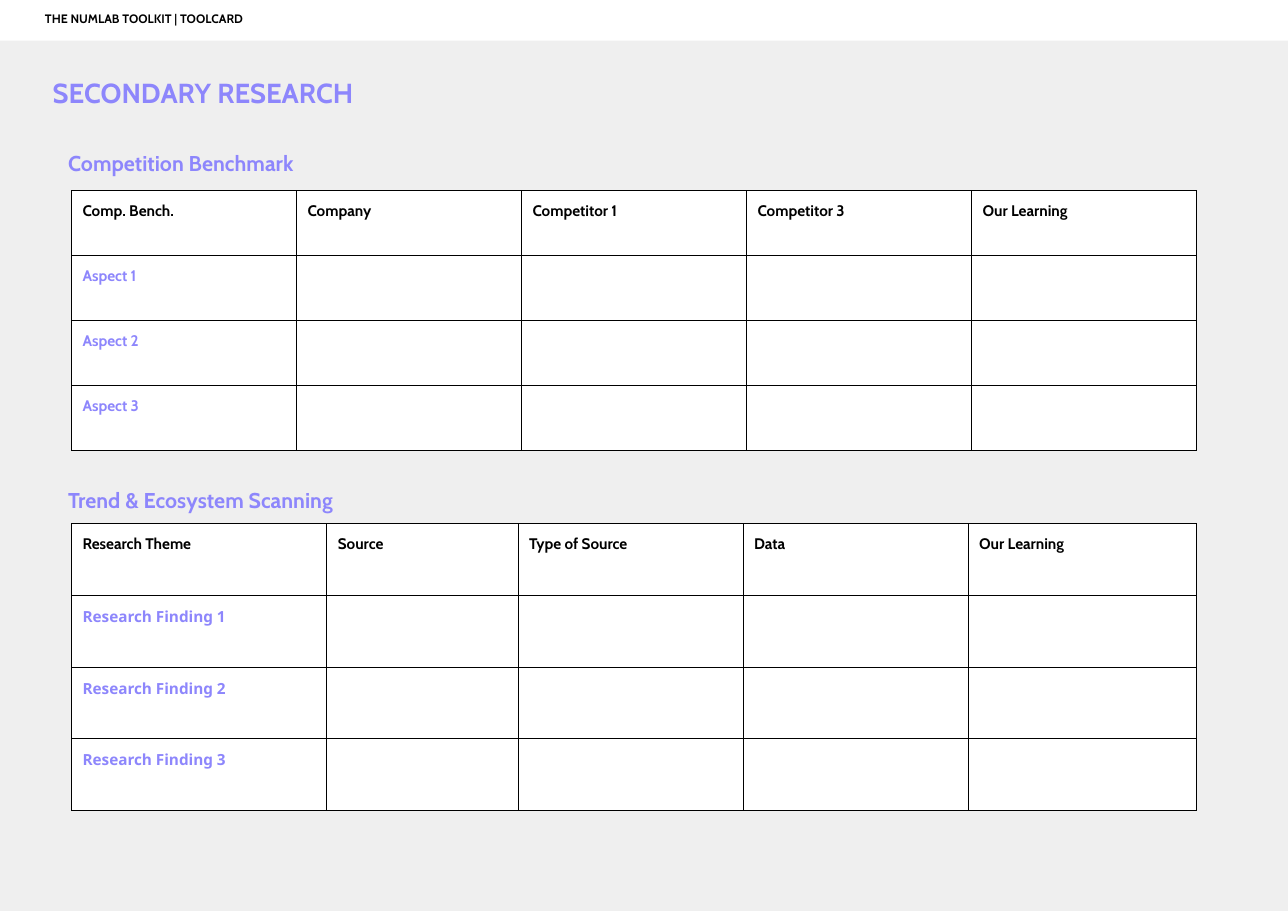
"""Build the secondary research toolcard with its two blank tables."""
import dataclasses

import lxml.etree
import pptx
import pptx.dml.color
import pptx.enum.shapes
import pptx.enum.text
import pptx.oxml.ns
import pptx.slide
import pptx.table
import pptx.text.text
import pptx.util

WIDE = pptx.util.Inches(11.69)
HIGH = pptx.util.Inches(8.27)
TOP = pptx.enum.text.MSO_ANCHOR.TOP
MID = pptx.enum.text.MSO_ANCHOR.MIDDLE
PAD = {f"margin_{side}": pptx.util.Inches(0.1) for side in ("left", "top", "right", "bottom")}


@dataclasses.dataclass(frozen=True)
class Theme:
    ink: str = "000000"
    tint: str = "8D86FC"
    back: str = "EFEFEF"
    paper: str = "FFFFFF"
    font: str = "Cabin"
    alt: str = "Noto Sans"
    title: float = 18
    head: float = 14
    body: float = 10
    small: float = 8
    rule: float = 0.75


@dataclasses.dataclass(frozen=True)
class Area:
    """Percent shares of the slide's width and height."""
    left: float
    top: float
    width: float
    height: float

    def box(self) -> tuple[int, int, int, int]:
        return across(self.left), down(self.top), across(self.width), down(self.height)


@dataclasses.dataclass(frozen=True)
class Label:
    text: str
    area: Area
    size: float
    tone: str
    anchor: pptx.enum.text.MSO_ANCHOR = TOP
    indent: float = 0
    fill: str = ""


@dataclasses.dataclass(frozen=True)
class Grid:
    top: float
    cols: tuple[float, ...]
    row: float
    heads: tuple[str, ...]
    stem: str
    font: str
    left: float = 5.56
    count: int = 3


THEME = Theme()
LABELS = (
    Label("Competition Benchmark", Area(4.45, 15.84, 44.05, 4.11), THEME.head, THEME.tint, MID),
    Label("Trend & Ecosystem Scanning", Area(4.45, 52.84, 44.05, 4.11), THEME.head, THEME.tint, MID),
    Label("SECONDARY RESEARCH", Area(0, 7.13, 56.8, 6.17), THEME.title, THEME.tint, indent=3.25),
    Label("THE NUMLAB TOOLKIT | TOOLCARD", Area(0, 0, 100, 4.47), THEME.small, THEME.ink,
          indent=2.65, fill=THEME.paper),
)
GRIDS = (
    Grid(20.92, (17.47,) * 5, 7.13,
         ("Comp. Bench.", "Company", "Competitor 1", "Competitor 3", "Our Learning"),
         "Aspect", THEME.font),
    Grid(57.5, (19.82, 14.85, 17.47, 17.47, 17.74), 7.86,
         ("Research Theme", "Source", "Type of Source", "Data", "Our Learning"),
         "Research Finding", THEME.alt),
)


def across(share: float) -> int:
    return round(WIDE * share / 100)


def down(share: float) -> int:
    return round(HIGH * share / 100)


def tune(item: object, values: dict[str, object]) -> None:
    for name, value in values.items():
        setattr(item, name, value)


def paint(fill: pptx.dml.fill.FillFormat, tone: str) -> None:
    fill.solid()
    fill.fore_color.rgb = pptx.dml.color.RGBColor.from_string(tone)


def write(para: pptx.text.text._Paragraph, text: str, size: float, tone: str, font: str) -> None:
    run = para.add_run()
    run.text = text
    tune(run.font, {"name": font, "size": pptx.util.Pt(size), "bold": True})
    run.font.color.rgb = pptx.dml.color.RGBColor.from_string(tone)


def block(slide: pptx.slide.Slide, area: Area, tone: str) -> pptx.shapes.autoshape.Shape:
    shape = slide.shapes.add_shape(pptx.enum.shapes.MSO_SHAPE.RECTANGLE, *area.box())
    shape.shadow.inherit = False
    paint(shape.fill, tone)
    shape.line.fill.background()
    return shape


def label(slide: pptx.slide.Slide, item: Label) -> None:
    if item.fill:
        shape = block(slide, item.area, item.fill)
    else:
        shape = slide.shapes.add_textbox(*item.area.box())
    frame = shape.text_frame
    tune(frame, PAD | {"word_wrap": True, "vertical_anchor": item.anchor})
    para = frame.paragraphs[0]
    para.alignment = pptx.enum.text.PP_ALIGN.LEFT
    if item.indent:
        para._p.get_or_add_pPr().set("marL", str(across(item.indent)))
    write(para, item.text, item.size, item.tone, THEME.font)


def border(cell: pptx.table._Cell) -> None:
    name = pptx.oxml.ns.qn
    props = cell._tc.get_or_add_tcPr()
    for side in ("lnL", "lnR", "lnT", "lnB"):
        line = lxml.etree.SubElement(props, name(f"a:{side}"), w=str(pptx.util.Pt(THEME.rule)))
        fill = lxml.etree.SubElement(line, name("a:solidFill"))
        lxml.etree.SubElement(fill, name("a:srgbClr"), val=THEME.ink)


def grid(slide: pptx.slide.Slide, item: Grid) -> None:
    rows = item.count + 1
    area = Area(item.left, item.top, sum(item.cols), item.row * rows)
    table = slide.shapes.add_table(rows, len(item.cols), *area.box()).table
    tune(table, {"first_row": False, "horz_banding": False})
    for col, share in zip(table.columns, item.cols):
        col.width = across(share)
    for row in table.rows:
        row.height = down(item.row)
    for cell in table.iter_cells():
        tune(cell, PAD)
        border(cell)
        paint(cell.fill, THEME.paper)
    for col, text in enumerate(item.heads):
        para = table.cell(0, col).text_frame.paragraphs[0]
        write(para, text, THEME.body, THEME.ink, THEME.font)
    for row in range(1, rows):
        para = table.cell(row, 0).text_frame.paragraphs[0]
        write(para, f"{item.stem} {row}", THEME.body, THEME.tint, item.font)


def main() -> None:
    deck = pptx.Presentation()
    tune(deck, {"slide_width": WIDE, "slide_height": HIGH})
    slide = deck.slides.add_slide(deck.slide_layouts[6])
    block(slide, Area(0, 0, 100, 100), THEME.back)
    for item in GRIDS:
        grid(slide, item)
    for item in LABELS:
        label(slide, item)
    deck.save("out.pptx")


if __name__ == "__main__":
    main()
